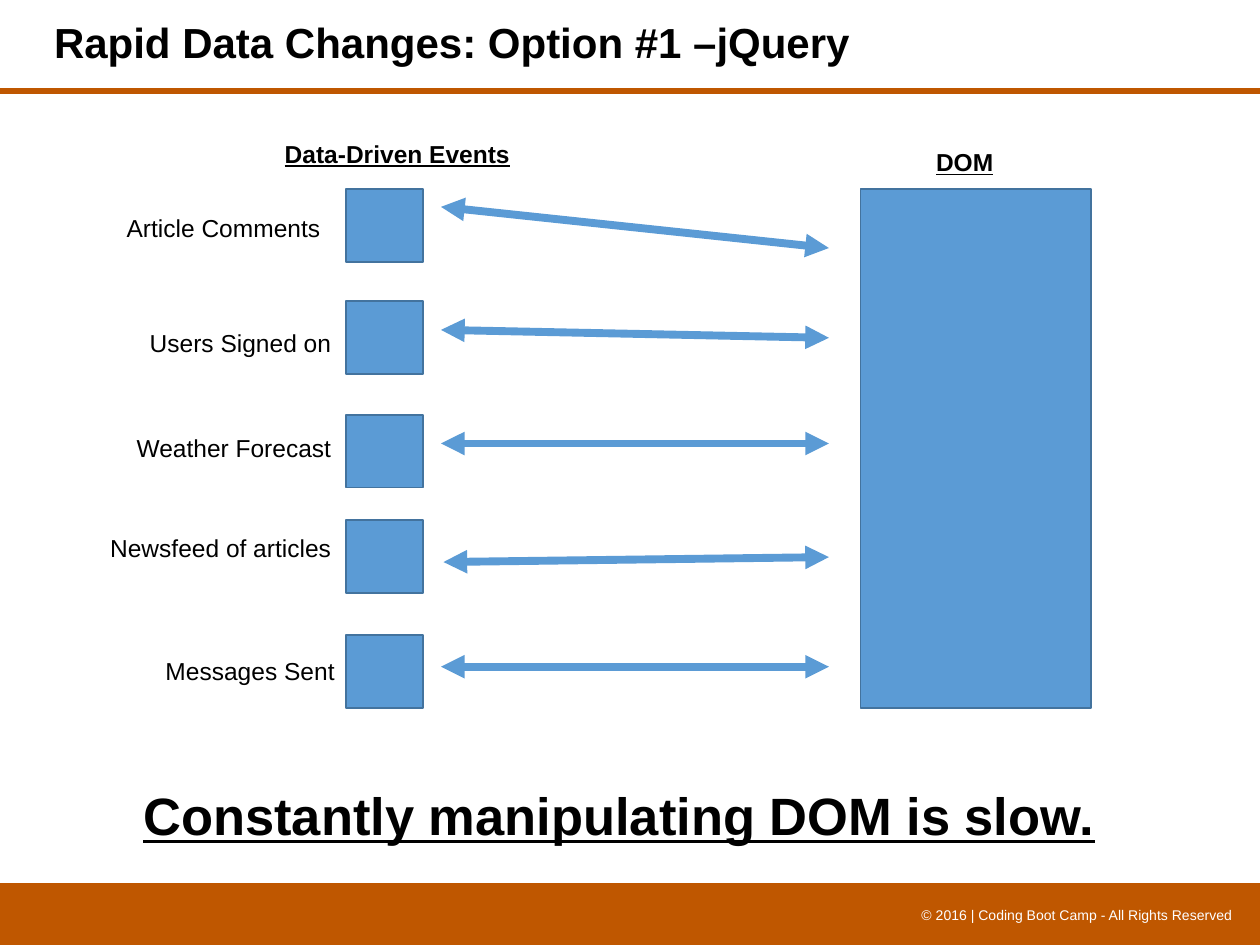
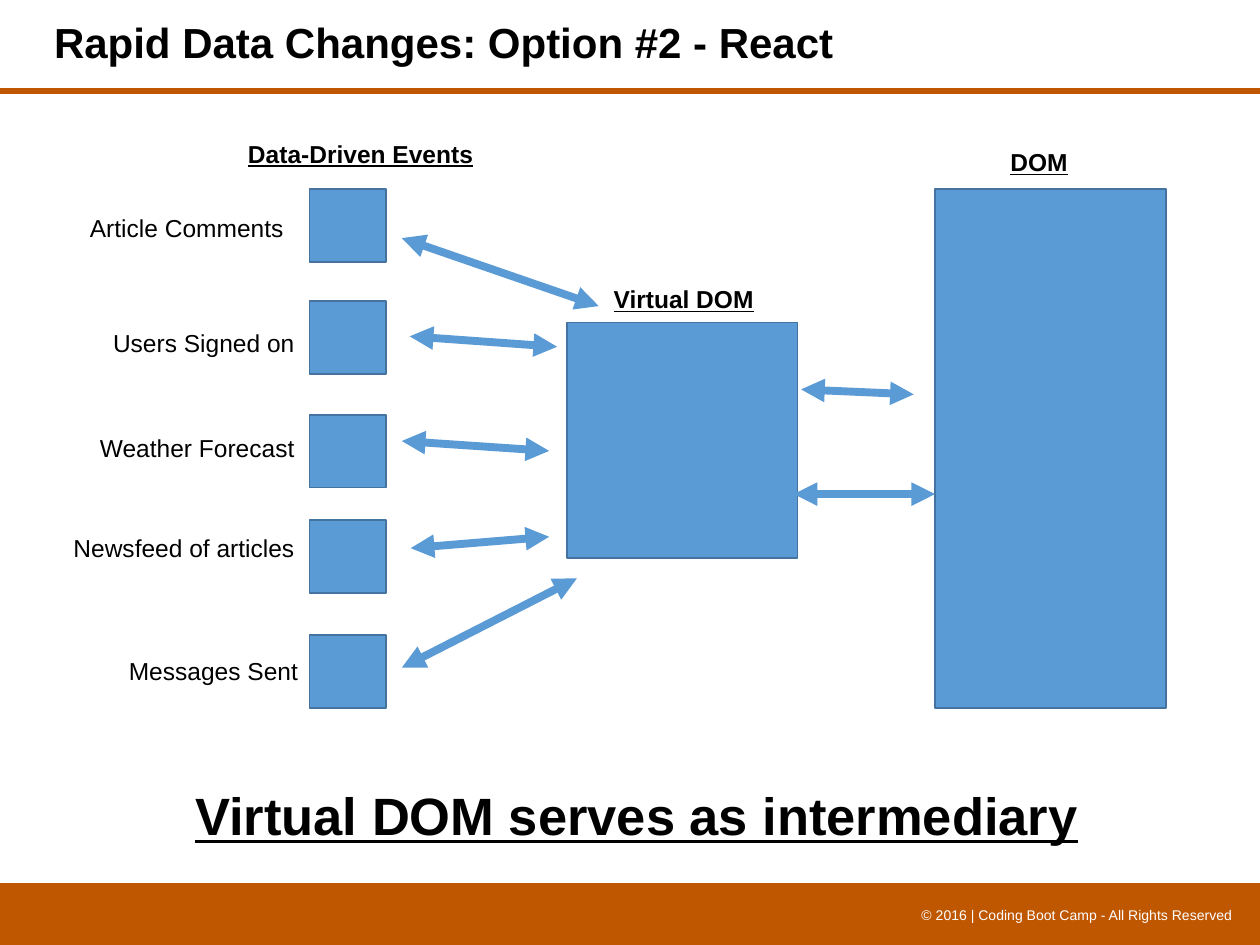
from dataclasses import dataclass

from lxml import etree
from pptx import Presentation
from pptx.dml.color import RGBColor
from pptx.enum.shapes import MSO_CONNECTOR, MSO_SHAPE
from pptx.enum.text import MSO_ANCHOR, PP_ALIGN
from pptx.oxml.ns import qn
from pptx.util import Cm, Pt

RECTANGLE = MSO_SHAPE.RECTANGLE
PROCESS = MSO_SHAPE.FLOWCHART_PROCESS
STRAIGHT = MSO_CONNECTOR.STRAIGHT
LEFT, CENTER, RIGHT = PP_ALIGN.LEFT, PP_ALIGN.CENTER, PP_ALIGN.RIGHT
TOP, MIDDLE = MSO_ANCHOR.TOP, MSO_ANCHOR.MIDDLE


# Theme: colours, font and sizes
@dataclass(frozen=True)
class Theme:
    font: str = "Arial"
    orange: RGBColor = RGBColor(0xBF, 0x57, 0x00)
    blue: RGBColor = RGBColor(0x5B, 0x9B, 0xD5)
    outline: RGBColor = RGBColor(0x43, 0x73, 0x9E)
    black: RGBColor = RGBColor(0, 0, 0)
    white: RGBColor = RGBColor(255, 255, 255)
    title: int = 24
    label: int = 14
    conclusion: int = 30
    footer: int = 8
    rule: float = 3.25
    arrow: float = 4.5


THEME = Theme()


# Repeated elements; all lengths are centimetres
@dataclass(frozen=True)
class Box:
    left: float
    top: float
    width: float
    height: float


@dataclass(frozen=True)
class Event:
    name: str
    square_top: float
    label_top: float
    label_right: float = 6.93


@dataclass(frozen=True)
class Arrow:
    start_x: float
    start_y: float
    end_x: float
    end_y: float


@dataclass(frozen=True)
class Diagram:
    title: str
    events_shift: float
    dom_left: float
    arrows: list[Arrow]
    conclusion: str
    conclusion_box: Box
    has_virtual_dom: bool = False


SLIDE_WIDTH, SLIDE_HEIGHT = 25.4, 19.05
SQUARE_LEFT, SQUARE_WIDTH, SQUARE_HEIGHT = 6.98, 1.55, 1.47
LABEL_WIDTH, LABEL_HEIGHT = 6.2, 0.86
DOM_TOP, DOM_WIDTH, DOM_HEIGHT = 3.81, 4.65, 10.46

EVENTS = [
    Event("Article Comments", 3.81, 4.17, 6.71),
    Event("Users Signed on", 6.07, 6.48),
    Event("Weather Forecast", 8.36, 8.61),
    Event("Newsfeed of articles", 10.49, 10.62),
    Event("Messages Sent", 12.8, 13.11, 7.0),
]

DIAGRAMS = [
    Diagram(
        title="Rapid Data Changes: Option #1 –jQuery",
        events_shift=0,
        dom_left=17.35,
        arrows=[
            Arrow(8.89, 4.17, 16.71, 5.0),
            Arrow(8.89, 6.65, 16.71, 6.81),
            Arrow(8.89, 8.94, 16.71, 8.94),
            Arrow(8.94, 11.33, 16.71, 11.23),
            Arrow(8.89, 13.44, 16.71, 13.44),
        ],
        conclusion="Constantly manipulating DOM is slow.",
        conclusion_box=Box(0.84, 15.67, 23.29, 1.55),
    ),
    Diagram(
        title="Rapid Data Changes: Option #2 - React",
        events_shift=-0.74,
        dom_left=18.85,
        arrows=[
            Arrow(8.1, 4.8, 12.07, 6.17),
            Arrow(8.26, 6.78, 11.23, 6.99),
            Arrow(8.1, 8.89, 11.07, 9.09),
            Arrow(8.28, 11.05, 11.07, 10.82),
            Arrow(8.1, 13.46, 11.63, 11.66),
            Arrow(16.15, 7.85, 18.42, 7.95),
            Arrow(16.0, 9.96, 18.85, 9.96),
        ],
        conclusion="Virtual DOM serves as intermediary",
        conclusion_box=Box(3.05, 15.67, 19.58, 1.55),
        has_virtual_dom=True,
    ),
]


# Drawing helpers
def add_text(slide, text: str, box: Box, size: int, align=LEFT, bold: bool = False,
             underline: bool = False, color: RGBColor = THEME.black, anchor=TOP):
    shape = slide.shapes.add_textbox(Cm(box.left), Cm(box.top), Cm(box.width), Cm(box.height))
    frame = shape.text_frame
    frame.word_wrap = True
    frame.vertical_anchor = anchor
    paragraph = frame.paragraphs[0]
    paragraph.text = text
    paragraph.alignment = align
    font = paragraph.font
    font.name, font.size, font.bold, font.underline = THEME.font, Pt(size), bold, underline
    font.color.rgb = color
    return paragraph


def add_heading(slide, text: str, box: Box) -> None:
    add_text(slide, text, box, THEME.label, bold=True, underline=True)


def add_block(slide, box: Box, fill: RGBColor = THEME.blue,
              outline: RGBColor | None = THEME.outline, kind=RECTANGLE) -> None:
    shape = slide.shapes.add_shape(kind, Cm(box.left), Cm(box.top), Cm(box.width), Cm(box.height))
    shape.shadow.inherit = False
    shape.fill.solid()
    shape.fill.fore_color.rgb = fill
    if outline is None:
        shape.line.fill.background()
    else:
        shape.line.color.rgb = outline
        shape.line.width = Pt(1)


def add_line(slide, line: Arrow, color: RGBColor, width: float):
    connector = slide.shapes.add_connector(
        STRAIGHT, Cm(line.start_x), Cm(line.start_y), Cm(line.end_x), Cm(line.end_y))
    connector.line.color.rgb = color
    connector.line.width = Pt(width)
    etree.SubElement(connector._element.spPr, qn("a:effectLst"))
    return connector


def add_double_arrow(slide, arrow: Arrow) -> None:
    connector = add_line(slide, arrow, THEME.blue, THEME.arrow)
    outline = connector.line._get_or_add_ln()
    for end in ("a:headEnd", "a:tailEnd"):
        etree.SubElement(outline, qn(end), type="triangle")


# Parts of a slide
def add_frame(slide, title: str) -> None:
    add_block(slide, Box(0, 17.81, SLIDE_WIDTH, 1.24), THEME.orange, None, PROCESS)
    add_line(slide, Arrow(0, 1.83, SLIDE_WIDTH, 1.83), THEME.orange, THEME.rule)
    add_text(slide, "© 2016 | Coding Boot Camp - All Rights Reserved",
             Box(17.35, 18.16, 7.75, 0.61), THEME.footer, RIGHT, color=THEME.white)
    paragraph = add_text(slide, title, Box(0.84, 0, 22.2, 1.83), THEME.title,
                         bold=True, anchor=MIDDLE)
    paragraph.line_spacing = 0.9


def add_events(slide, shift: float) -> None:
    add_heading(slide, "Data-Driven Events", Box(5.49 + shift, 2.67, 5.18, LABEL_HEIGHT))
    for event in EVENTS:
        add_block(slide, Box(SQUARE_LEFT + shift, event.square_top, SQUARE_WIDTH, SQUARE_HEIGHT))
        label_left = event.label_right - LABEL_WIDTH + shift
        add_text(slide, event.name, Box(label_left, event.label_top, LABEL_WIDTH, LABEL_HEIGHT),
                 THEME.label, RIGHT)


def add_diagram(slide, diagram: Diagram) -> None:
    add_frame(slide, diagram.title)
    add_events(slide, diagram.events_shift)
    add_block(slide, Box(diagram.dom_left, DOM_TOP, DOM_WIDTH, DOM_HEIGHT))
    add_heading(slide, "DOM", Box(diagram.dom_left + 1.27, 2.84, 2.87, LABEL_HEIGHT))
    if diagram.has_virtual_dom:
        add_block(slide, Box(11.43, 6.5, DOM_WIDTH, 4.75))
        add_heading(slide, "Virtual DOM", Box(12.12, 5.61, 3.61, LABEL_HEIGHT))
    for arrow in diagram.arrows:
        add_double_arrow(slide, arrow)
    add_text(slide, diagram.conclusion, diagram.conclusion_box, THEME.conclusion, CENTER,
             bold=True, underline=True)


def main() -> None:
    presentation = Presentation()
    presentation.slide_width, presentation.slide_height = Cm(SLIDE_WIDTH), Cm(SLIDE_HEIGHT)
    blank_layout = presentation.slide_layouts[6]
    for diagram in DIAGRAMS:
        add_diagram(presentation.slides.add_slide(blank_layout), diagram)
    presentation.save("out.pptx")


if __name__ == "__main__":
    main()
